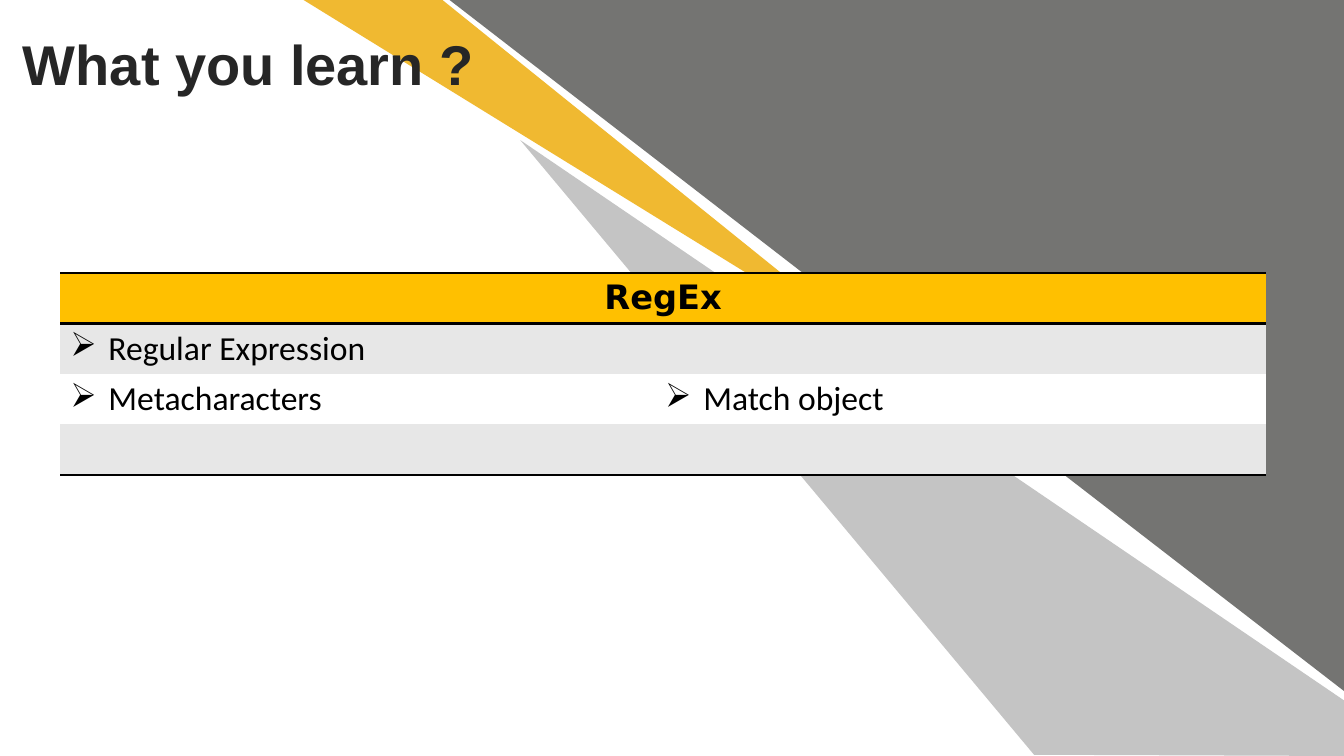
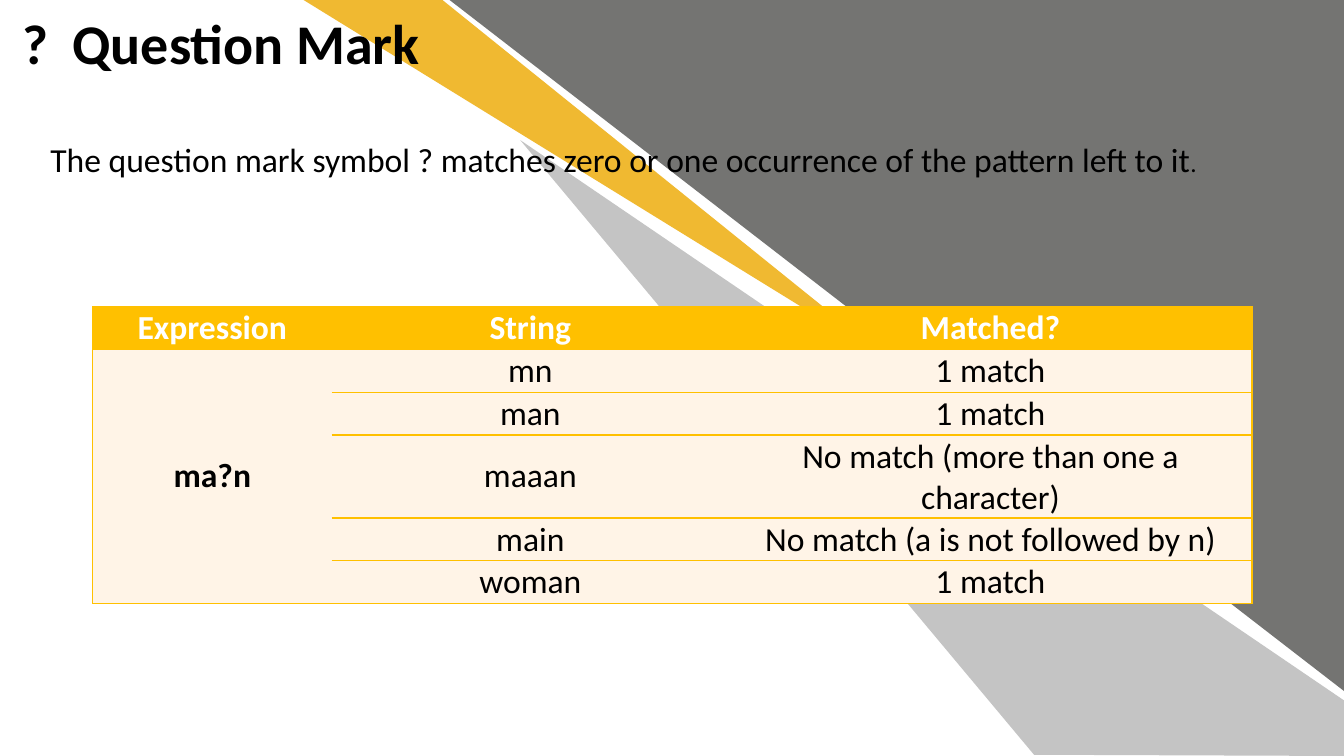
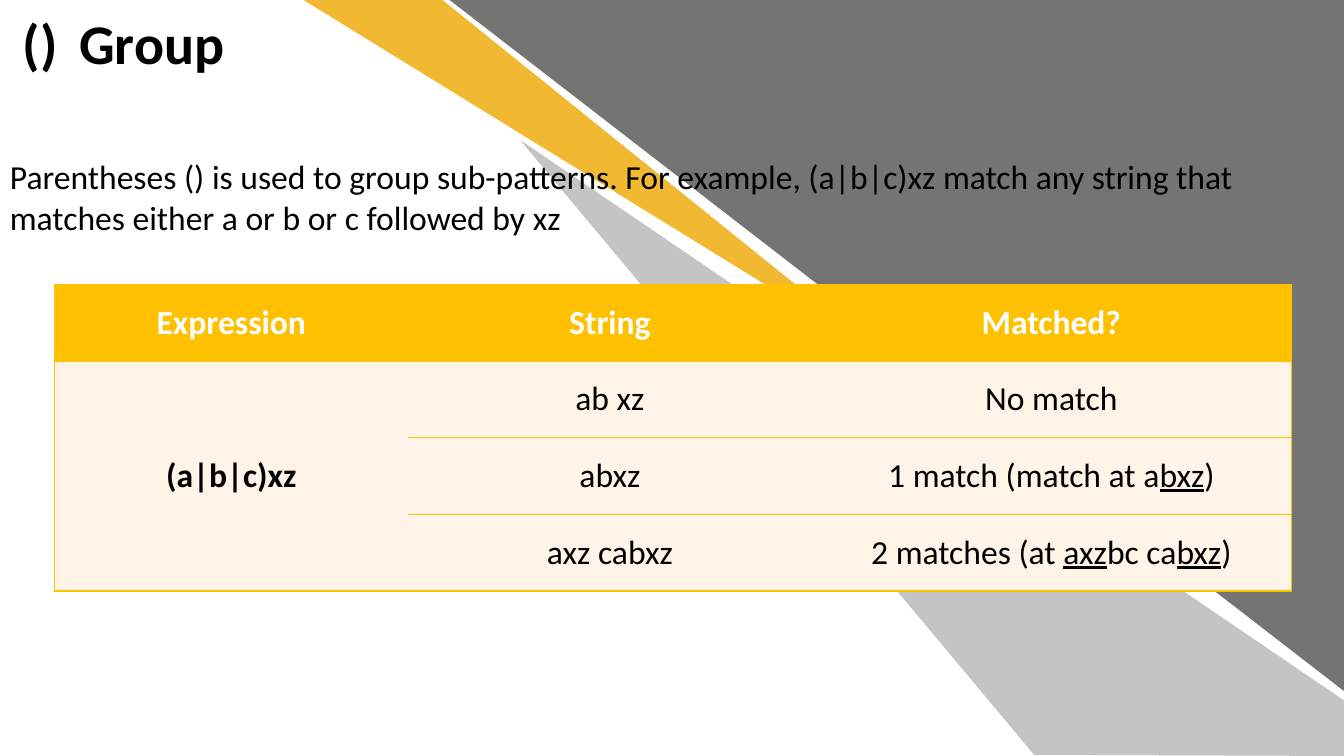
from lxml.etree import SubElement
from pptx import Presentation
from pptx.dml.color import RGBColor
from pptx.enum.shapes import MSO_SHAPE
from pptx.enum.text import MSO_ANCHOR, MSO_AUTO_SIZE, PP_ALIGN
from pptx.oxml.ns import qn
from pptx.util import Cm, Pt

# Colours
BLACK = RGBColor(0x00, 0x00, 0x00)
WHITE = RGBColor(0xFF, 0xFF, 0xFF)
CHARCOAL = RGBColor(0x26, 0x26, 0x26)
DARK_GREY = RGBColor(0x74, 0x74, 0x72)
LIGHT_GREY = RGBColor(0xC4, 0xC4, 0xC4)
BAND_GREY = RGBColor(0xE7, 0xE7, 0xE7)
OCHRE = RGBColor(0xF0, 0xB9, 0x31)
GOLD = RGBColor(0xFF, 0xC0, 0x00)
CREAM = RGBColor(0xFF, 0xF4, 0xE7)

# Text formats
BODY = {"name": "Calibri", "size": Pt(24), "bold": False, "color": BLACK}
STRONG = BODY | {"bold": True}
HEADER = STRONG | {"color": WHITE}
TITLE = STRONG | {"size": Pt(40)}
AGENDA_TITLE = TITLE | {"name": "Arial", "color": CHARCOAL}
AGENDA_HEADER = STRONG | {"name": "DejaVu Sans"}
FULL_STOP = BODY | {"size": Pt(18)}

NO_STYLE = "{2D5ABB26-0587-4C30-8999-92F81FD0307C}"
BULLET_INDENT = Cm(0.96)
CELL_MARGIN = Cm(0.03)

# Backdrop outlines, in centimetres
BACKDROP_BANDS = [
    (LIGHT_GREY, [(26.06, 19.02), (13.11, 3.53), (33.87, 17.65), (33.87, 19.05)]),
    (OCHRE, [(7.65, 0), (11.15, 0), (22.53, 9.17)]),
]


def add_span(para, text, text_format, underline=False):
    span = para.add_run()
    span.text = text
    for name, value in text_format.items():
        if name == "color":
            span.font.color.rgb = value
        else:
            setattr(span.font, name, value)
    if underline:
        span.font.underline = True


def paint(shape, color):
    shape.shadow.inherit = False
    shape.fill.solid()
    shape.fill.fore_color.rgb = color
    shape.line.fill.background()


def add_backdrop(page):
    corner = page.shapes.add_shape(
        MSO_SHAPE.RIGHT_TRIANGLE, Cm(11.33), Cm(0), Cm(22.55), Cm(17.42))
    corner.rotation = 180
    paint(corner, DARK_GREY)
    for color, points in BACKDROP_BANDS:
        start, *others = [(Cm(x), Cm(y)) for x, y in points]
        builder = page.shapes.build_freeform(*start)
        builder.add_line_segments(others)
        paint(builder.convert_to_shape(), color)


def add_text(page, place, spans, tab=None):
    box = page.shapes.add_textbox(*[Cm(length) for length in place])
    box.text_frame.word_wrap = True
    box.text_frame.auto_size = MSO_AUTO_SIZE.SHAPE_TO_FIT_TEXT
    para = box.text_frame.paragraphs[0]
    if tab:
        tabs = SubElement(para._p.get_or_add_pPr(), qn("a:tabLst"))
        SubElement(tabs, qn("a:tab"), pos=str(Cm(tab)), algn="l")
    for text, text_format in spans:
        add_span(para, text, text_format)


def add_plain_table(page, left, top, widths, heights):
    frame = page.shapes.add_table(
        len(heights), len(widths), Cm(left), Cm(top), Cm(sum(widths)), Cm(sum(heights)))
    table = frame.table
    table.horz_banding = False
    table._tbl.tblPr.find(qn("a:tableStyleId")).text = NO_STYLE
    for column, width in zip(table.columns, widths):
        column.width = Cm(width)
    for row, height in zip(table.rows, heights):
        row.height = Cm(height)
    return table


def style_cell(cell, fill, edges="", color=BLACK, weight=1):
    """Edges is a choice of the letters L, R, T, B, in that order."""
    properties = cell._tc.get_or_add_tcPr()
    for edge in edges:
        line = SubElement(properties, qn(f"a:ln{edge}"), w=str(Pt(weight)))
        SubElement(SubElement(line, qn("a:solidFill")), qn("a:srgbClr"), val=str(color))
    cell.fill.solid()
    cell.fill.fore_color.rgb = fill


def write_centred(cell, text, text_format):
    """Text between underscores is underlined."""
    para = cell.text_frame.paragraphs[0]
    para.alignment = PP_ALIGN.CENTER
    for index, part in enumerate(text.split("_")):
        if part:
            add_span(para, part, text_format, underline=index % 2 == 1)


def write_bullet(cell, text):
    para = cell.text_frame.paragraphs[0]
    properties = para._p.get_or_add_pPr()
    properties.set("marL", str(BULLET_INDENT))
    properties.set("indent", str(-BULLET_INDENT))
    SubElement(properties, qn("a:buChar"), char="➢")
    add_span(para, text, BODY)


def add_agenda_table(page):
    topics = [("Regular Expression", ""), ("Metacharacters", "Match object"), ("", "")]
    table = add_plain_table(page, 1.52, 6.88, [14.99, 15.39], [1.27] * 4)
    for column in range(2):
        style_cell(table.cell(0, column), GOLD, "TB", weight=2)
    table.cell(0, 0).merge(table.cell(0, 1))
    write_centred(table.cell(0, 0), "RegEx", AGENDA_HEADER)
    for row, texts in enumerate(topics, 1):
        for column, text in enumerate(texts):
            cell = table.cell(row, column)
            style_cell(cell, BAND_GREY if row % 2 else WHITE,
                       "B" if row == len(topics) else "", weight=2)
            if text:
                write_bullet(cell, text)


def add_match_table(page, left, top, widths, heights, expression, results):
    rows = [("Expression", "String", "Matched?")]
    rows += [("", string, result) for string, result in results]
    rows[1] = (expression, *results[0])
    table = add_plain_table(page, left, top, widths, heights)
    for row, texts in enumerate(rows):
        for column, text in enumerate(texts):
            cell = table.cell(row, column)
            style_cell(cell, CREAM if row else GOLD, ("LTB", "TB", "RTB")[column], GOLD)
            cell.vertical_anchor = MSO_ANCHOR.MIDDLE
            for side in ("left", "right", "top", "bottom"):
                setattr(cell, f"margin_{side}", CELL_MARGIN)
            text_format = HEADER if row == 0 else BODY if column else STRONG
            write_centred(cell, text, text_format)
    table.cell(1, 0).merge(table.cell(len(results), 0))


def add_page(deck):
    page = deck.slides.add_slide(deck.slide_layouts[6])
    add_backdrop(page)
    return page


def add_symbol_page(deck, title, tab, place, spans):
    page = add_page(deck)
    add_text(page, (0.33, 0.1, 18.19, 1.96), [(title, TITLE)], tab)
    add_text(page, place, spans)
    return page


def main():
    deck = Presentation()
    deck.slide_width, deck.slide_height = Cm(33.87), Cm(19.05)

    # Agenda
    page = add_page(deck)
    add_text(page, (0.33, 0.61, 12.4, 1.96), [("What you learn ?", AGENDA_TITLE)])
    add_agenda_table(page)

    # Question mark
    page = add_symbol_page(
        deck, "?\tQuestion Mark", 1.25, (1.02, 3.38, 31.09, 1.27),
        [("The question mark symbol ? matches zero or one occurrence "
          "of the pattern left to it", BODY), (".", FULL_STOP)])
    add_match_table(
        page, 2.34, 7.73, [6.02, 10.01, 13.18],
        [1.07, 1.07, 1.07, 2.08, 1.07, 1.07], "ma?n",
        [("mn", "1 match"), ("man", "1 match"),
         ("maaan", "No match (more than one a character)"),
         ("main", "No match (a is not followed by n)"), ("woman", "1 match")])

    # Group
    page = add_symbol_page(
        deck, "()\tGroup", 1.42, (0, 3.81, 32.54, 2.31),
        [("Parentheses () is used to group sub-patterns. For example, (a|b|c)xz match any "
          "string that matches either a or b or c followed by xz", BODY)])
    add_match_table(
        page, 1.37, 7.17, [8.92, 10.16, 12.09], [1.93] * 4, "(a|b|c)xz",
        [("ab xz", "No match"), ("abxz", "1 match (match at a_bxz_)"),
         ("axz cabxz", "2 matches (at _axz_bc ca_bxz_)")])

    deck.save("out.pptx")


if __name__ == "__main__":
    main()
